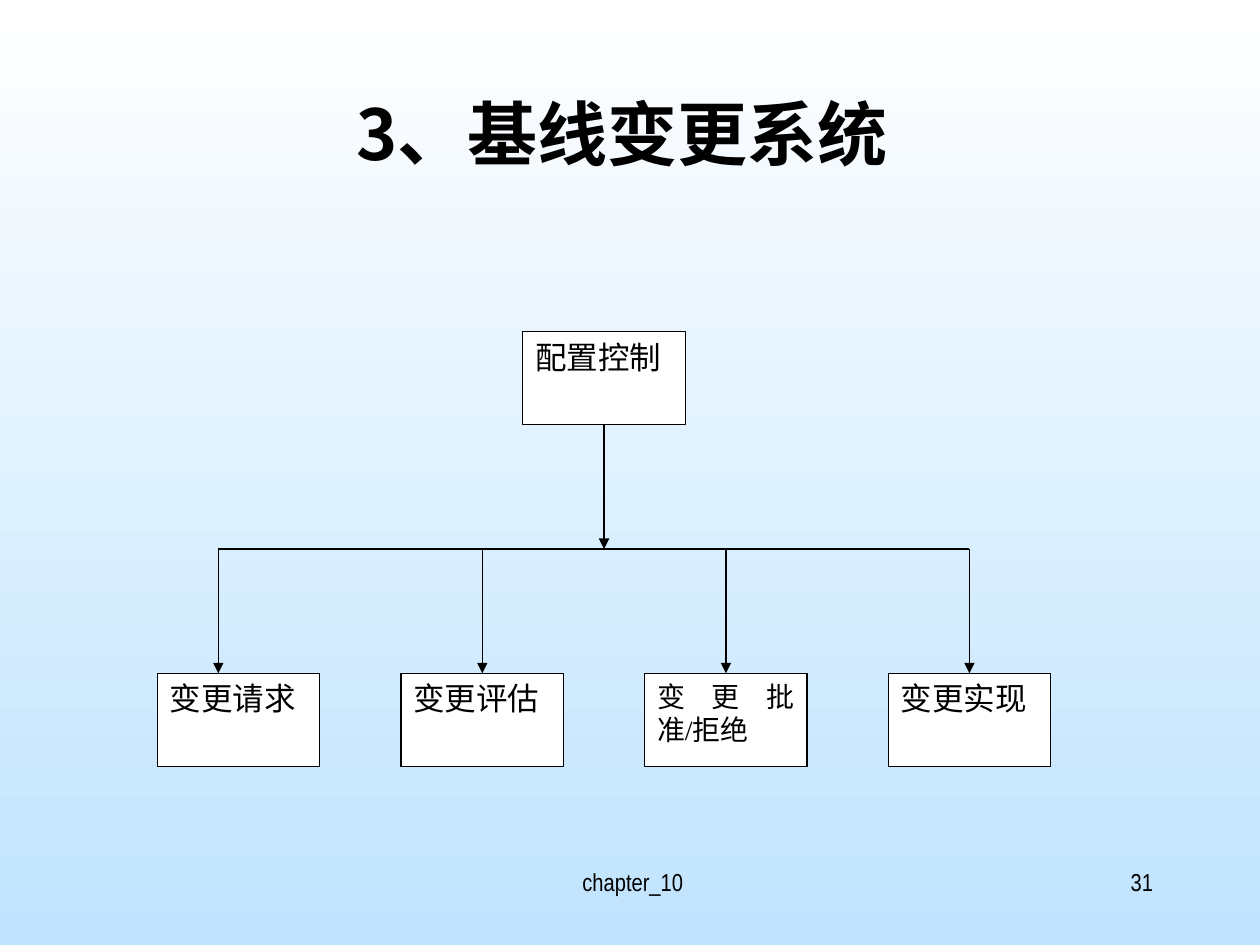
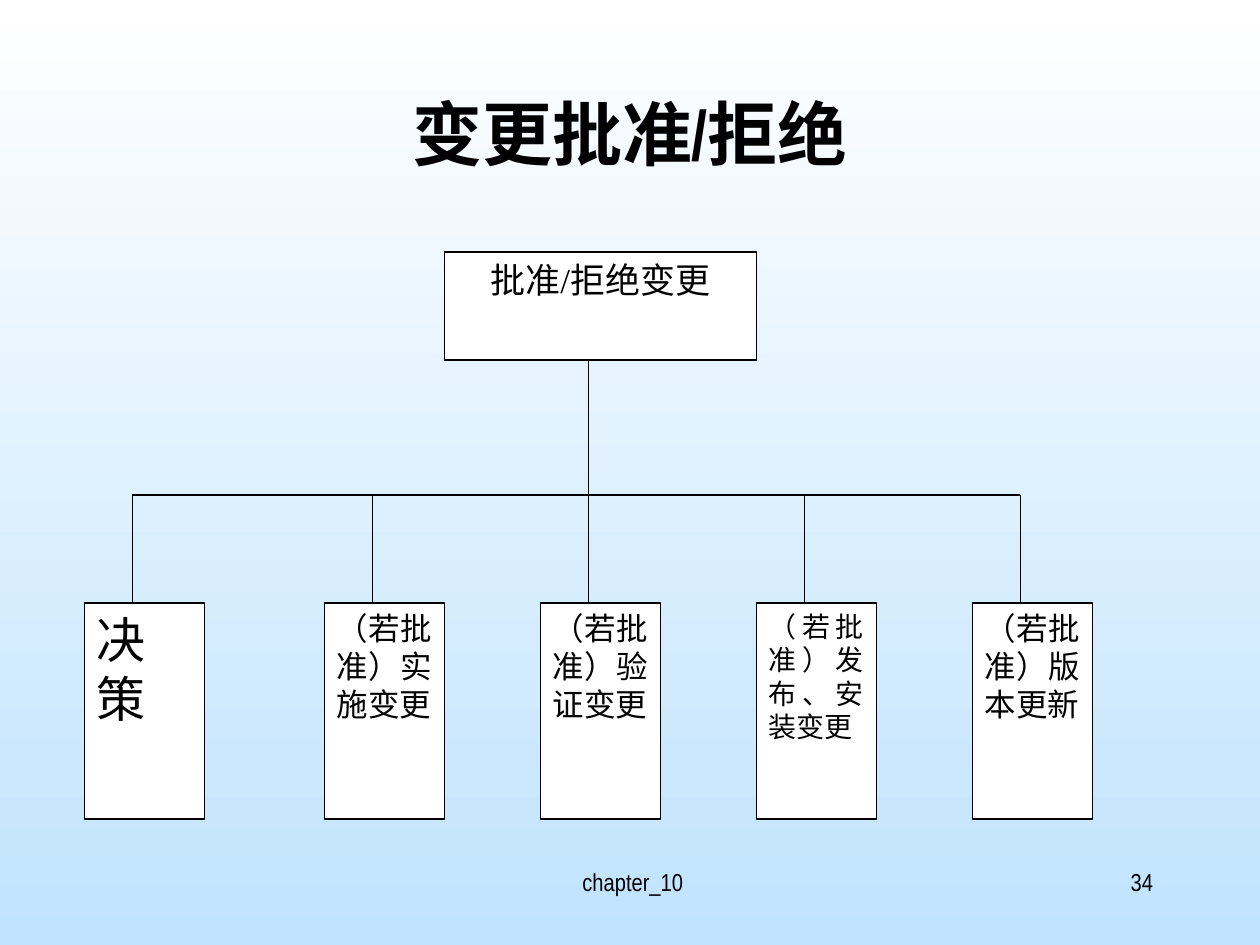
from dataclasses import dataclass
from typing import NamedTuple

import pptx
import pptx.dml.color
import pptx.enum.shapes
import pptx.enum.text
import pptx.oxml.ns
import pptx.util
from lxml import etree

INK, PAPER, SKY = "000000", "FFFFFF", "C0E3FE"
SANS, NARROW, SERIF = "Noto Sans CJK SC", "Arial Narrow", "Times New Roman"
ALIGN = pptx.enum.text.PP_ALIGN


class Style(NamedTuple):
    size: int
    face: str
    align: ALIGN
    bold: bool = False


class Area(NamedTuple):
    """Left, top, width and height in grid cells."""
    col: int
    row: int
    cols: int
    rows: int


@dataclass
class Grid:
    """Origin and cell size in inches."""
    left: float
    top: float
    wide: float
    high: float

    def x(self, col: float) -> int:
        return pptx.util.Inches(self.left + col * self.wide)

    def y(self, row: float) -> int:
        return pptx.util.Inches(self.top + row * self.high)

    def frame(self, area: Area) -> tuple[int, int, int, int]:
        left, top = self.x(area.col), self.y(area.row)
        return (left, top, self.x(area.col + area.cols) - left,
                self.y(area.row + area.rows) - top)


class Leaf(NamedTuple):
    text: str
    col: int
    size: int = 18


@dataclass
class Tree:
    title: str
    face: str
    number: int
    grid: Grid
    head: Area
    label: str
    look: Style
    stem: int  # column of the line below the head
    bus: int  # row of the cross line
    base: Area  # first leaf
    drops: list[int]  # columns of the lines above the leaves
    leaves: list[Leaf]
    arrows: bool


# Page grid: twelve cells to the inch
PAGE = Grid(0, 0, 1 / 12, 1 / 12)
TITLE = Area(9, 8, 102, 15)
FOOT = Area(41, 82, 38, 6)
COUNT = Area(86, 82, 25, 6)

TREES = [
    Tree("3、基线变更系统 ", SANS, 31, Grid(1.25, 2.63, 5.8 / 36, 0.74 / 6),
         Area(18, 0, 8, 6), "配置控制", Style(18, SERIF, ALIGN.JUSTIFY),
         22, 14, Area(0, 22, 8, 6), [3, 16, 28, 40],
         [Leaf("变更请求", 0), Leaf("变更评估", 12),
          Leaf("变更批准/拒绝", 24, 16), Leaf("变更实现", 36)], True),
    Tree("变更批准/拒绝", NARROW, 34, Grid(0.67, 2, 4 / 21, 1.5 / 7),
         Area(15, 0, 13, 4), "批准/拒绝变更", Style(20, SERIF, ALIGN.CENTER),
         21, 9, Area(0, 13, 5, 8), [2, 12, 21, 30, 39],
         [Leaf("决策", 0, 28), Leaf("（若批准）实施变更", 10),
          Leaf("（若批准）验证变更", 19),
          Leaf("（若批准）发布、安装变更", 28, 16),
          Leaf("（若批准）版本更新", 37)], False),
]


def rgb(code: str) -> pptx.dml.color.RGBColor:
    return pptx.dml.color.RGBColor.from_string(code)


def write(shape, text: str, style: Style) -> None:
    frame = shape.text_frame
    frame.word_wrap = True
    frame.auto_size = pptx.enum.text.MSO_AUTO_SIZE.NONE
    frame.vertical_anchor = pptx.enum.text.MSO_ANCHOR.TOP
    frame.text = text
    para = frame.paragraphs[0]
    para.alignment = style.align
    font = para.font
    font.size, font.name = pptx.util.Pt(style.size), style.face
    font.bold = style.bold
    font.color.rgb = rgb(INK)
    # East Asian face
    props = para._p.get_or_add_pPr().get_or_add_defRPr()
    etree.SubElement(props, pptx.oxml.ns.qn("a:ea"), typeface=SANS)


def box(slide, grid: Grid, area: Area, text: str, style: Style):
    shape = slide.shapes.add_shape(
        pptx.enum.shapes.MSO_SHAPE.RECTANGLE, *grid.frame(area))
    shape.shadow.inherit = False
    shape.fill.solid()
    shape.fill.fore_color.rgb = rgb(PAPER)
    shape.line.color.rgb = rgb(INK)
    shape.line.width = pptx.util.Pt(0.75)
    write(shape, text, style)
    return shape


def line(slide, grid: Grid, start: tuple[int, int], end: tuple[int, int],
         arrow: bool = False):
    link = slide.shapes.add_connector(
        pptx.enum.shapes.MSO_CONNECTOR.STRAIGHT,
        grid.x(start[0]), grid.y(start[1]), grid.x(end[0]), grid.y(end[1]))
    link.line.color.rgb = rgb(INK)
    link.line.width = pptx.util.Pt(0.75)
    if arrow:
        etree.SubElement(link.line._get_or_add_ln(),
                         pptx.oxml.ns.qn("a:tailEnd"), type="triangle")
    etree.SubElement(link._element.spPr, pptx.oxml.ns.qn("a:effectLst"))
    return link


def middle(area: Area) -> float:
    return area.col + area.cols / 2


def dress(slide, tree: Tree) -> None:
    """Title, footer and page number."""
    title = slide.shapes.title
    title.left, title.top, title.width, title.height = PAGE.frame(TITLE)
    write(title, tree.title, Style(40, tree.face, ALIGN.CENTER, True))
    for area, text, align in ((FOOT, " chapter_10", ALIGN.CENTER),
                              (COUNT, str(tree.number), ALIGN.RIGHT)):
        note = slide.shapes.add_textbox(*PAGE.frame(area))
        write(note, text, Style(14, NARROW, align))


def draw(slide, tree: Tree) -> None:
    grid, base = tree.grid, tree.base
    # Boxes
    head = box(slide, grid, tree.head, tree.label, tree.look)
    spots = [base._replace(col=leaf.col) for leaf in tree.leaves]
    boxes = [box(slide, grid, spot, leaf.text,
                 Style(leaf.size, SERIF, ALIGN.JUSTIFY))
             for spot, leaf in zip(spots, tree.leaves)]
    # Cross line and stem, which runs on where a leaf lies straight below
    line(slide, grid, (tree.drops[0], tree.bus), (tree.drops[-1], tree.bus))
    low = base.row if tree.stem in tree.drops else tree.bus
    stem = line(slide, grid, (tree.stem, tree.head.rows), (tree.stem, low),
                tree.arrows)
    if tree.stem == middle(tree.head):
        stem.begin_connect(head, 2)
    # Lines to the leaves
    for col, spot, shape in zip(tree.drops, spots, boxes):
        if col == tree.stem:
            continue
        drop = line(slide, grid, (col, tree.bus), (col, base.row), tree.arrows)
        if col == middle(spot):
            drop.end_connect(shape, 0)


def main() -> None:
    deck = pptx.Presentation()
    deck.slide_width = pptx.util.Inches(10)
    deck.slide_height = pptx.util.Inches(7.5)
    # Shared background
    fill = deck.slide_master.background.fill
    fill.gradient()
    fill.gradient_angle = 270
    for stop, code, place in zip(fill.gradient_stops, (PAPER, SKY), (0, 1)):
        stop.color.rgb = rgb(code)
        stop.position = place
    for tree in TREES:
        slide = deck.slides.add_slide(deck.slide_layouts[5])
        dress(slide, tree)
        draw(slide, tree)
    deck.save("out.pptx")


if __name__ == "__main__":
    main()
